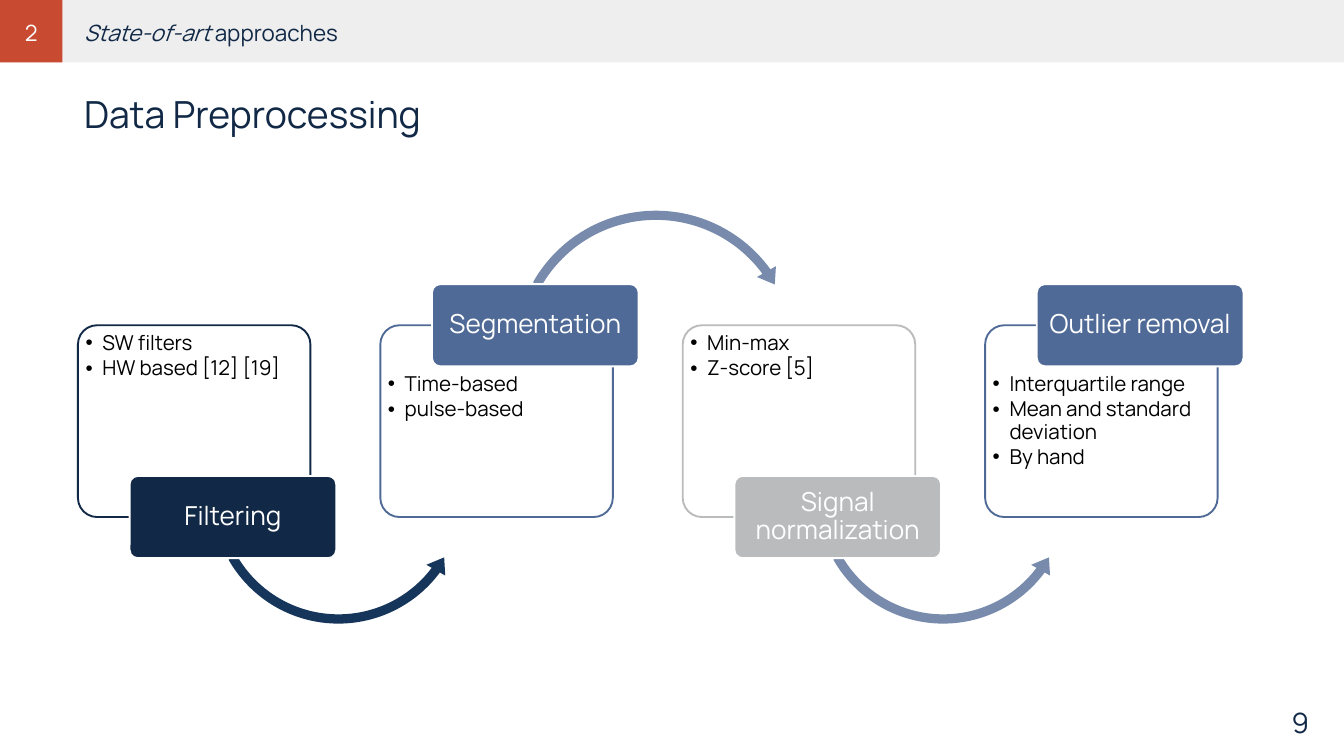
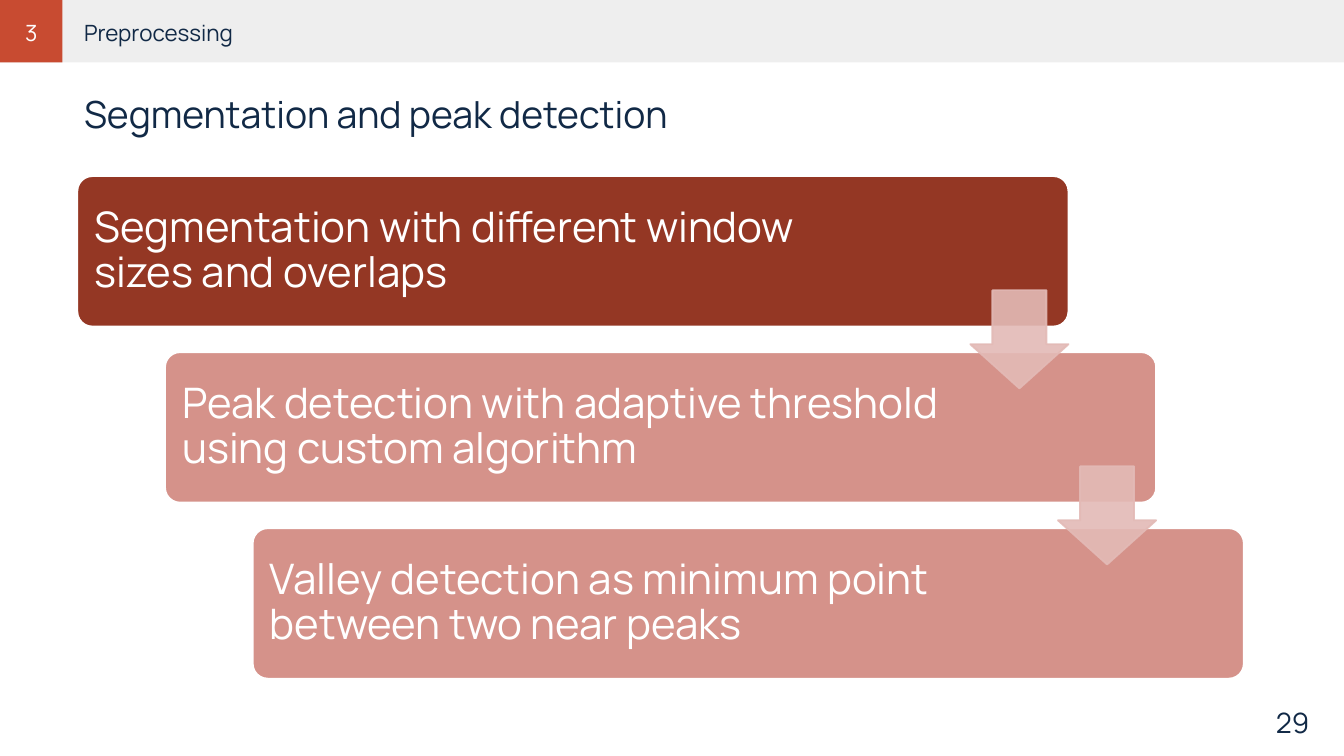
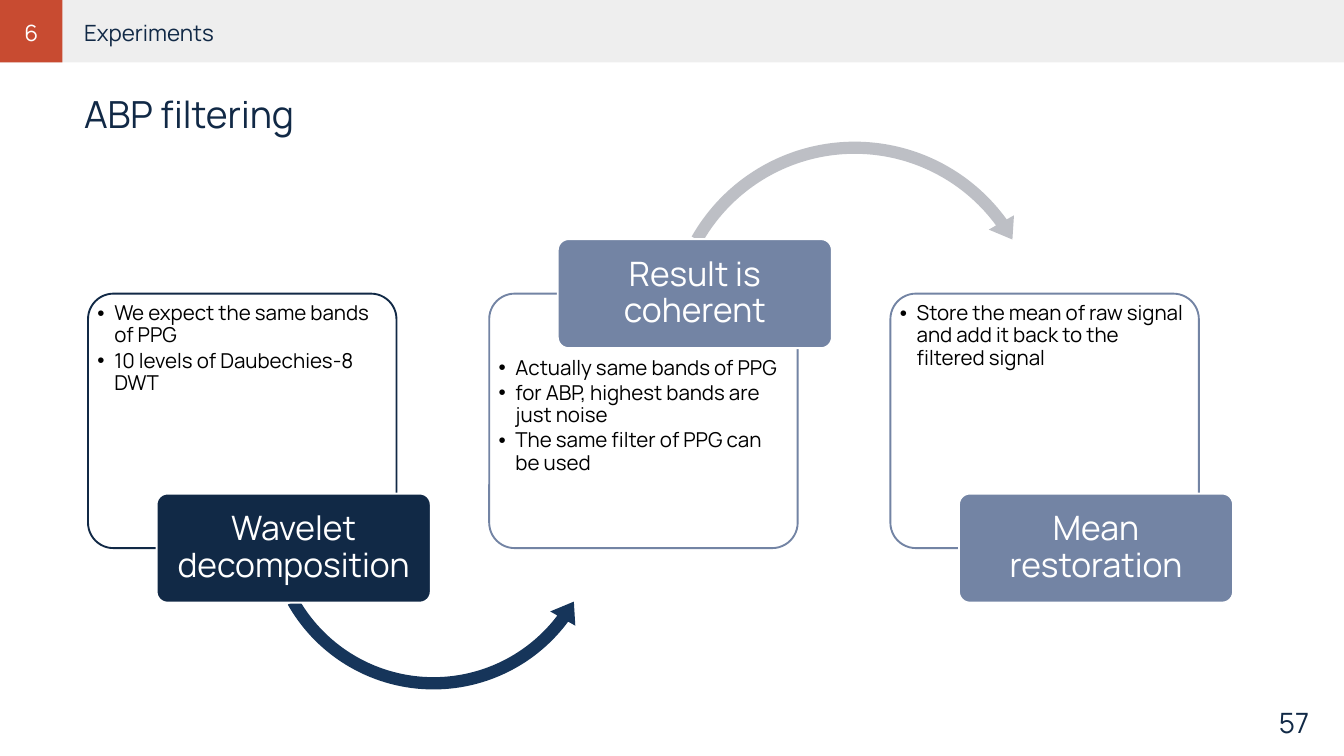
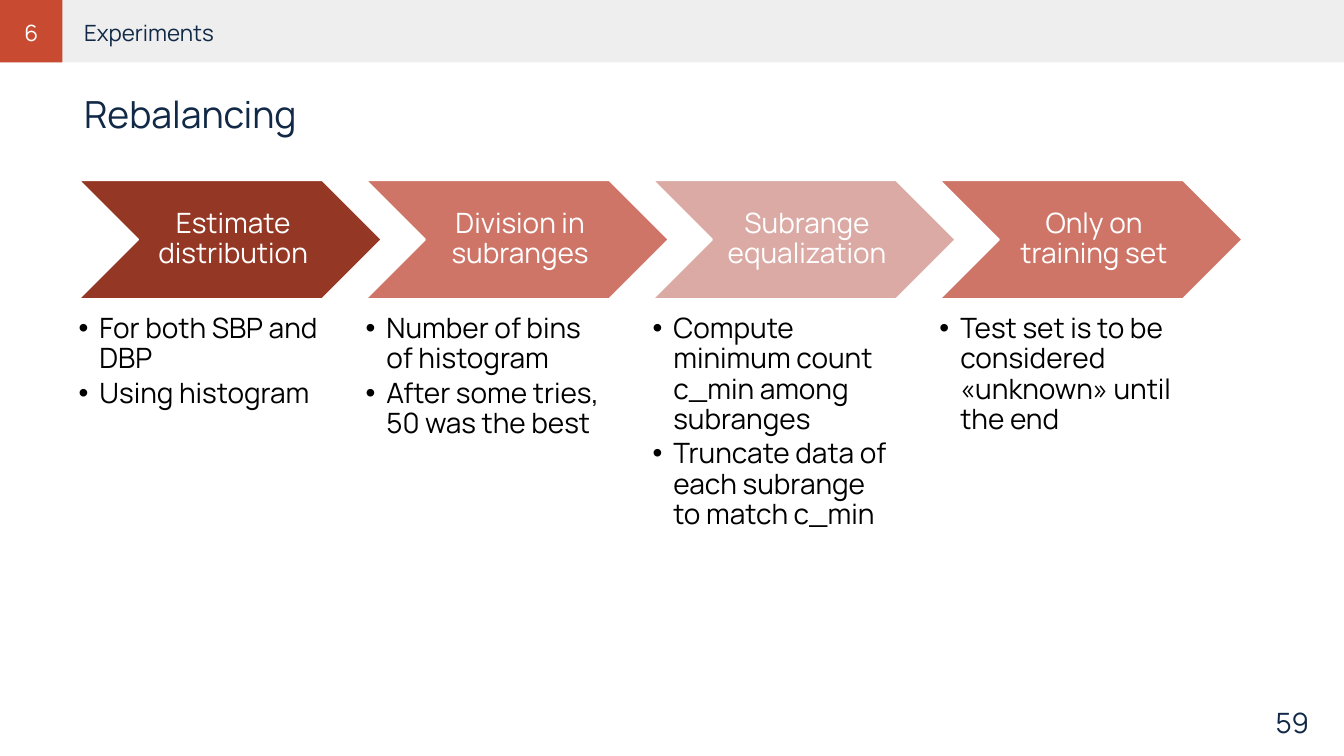
from lxml import etree
from pptx import Presentation
from pptx.dml.color import RGBColor
from pptx.enum.shapes import MSO_SHAPE
from pptx.enum.text import MSO_ANCHOR, MSO_AUTO_SIZE, PP_ALIGN
from pptx.oxml.ns import qn
from pptx.util import Inches, Pt

LEFT, CENTER, RIGHT = PP_ALIGN.LEFT, PP_ALIGN.CENTER, PP_ALIGN.RIGHT
TOP, MIDDLE = MSO_ANCHOR.TOP, MSO_ANCHOR.MIDDLE
RECT, ROUND, CHEVRON = MSO_SHAPE.RECTANGLE, MSO_SHAPE.ROUNDED_RECTANGLE, MSO_SHAPE.CHEVRON
DOWN_ARROW = MSO_SHAPE.DOWN_ARROW
ARC_BELOW, ARC_ABOVE = MSO_SHAPE.LEFT_CIRCULAR_ARROW, MSO_SHAPE.CIRCULAR_ARROW

FONT = "Manrope"
COLORS = {
    "white": "FFFFFF", "black": "000000", "band": "EEEEEE", "accent": "C84B31",
    "navy": "112946", "deep blue": "16355A", "blue": "4F6A97", "soft blue": "798BAD",
    "slate": "7384A4", "silver": "BABBBD", "pale slate": "BDBFC5",
    "brick": "943724", "coral": "CE7568", "rose": "D5928A", "blush": "DBAAA5",
    "pale rose": "E3BAB6",
}

# Header: chapter number, chapter (italics between asterisks), title, page
PREPROCESSING = ("2", "*State-of-art* approaches", "Data Preprocessing", "9")
SEGMENTATION = ("3", "Preprocessing", "Segmentation and peak detection", "29")
ABP_FILTERING = ("6", "Experiments", "ABP filtering", "57")
REBALANCING = ("6", "Experiments", "Rebalancing", "59")

# Flow stages: label, colour, colour of the arc to the next stage, details
PREPROCESSING_FLOW = [
    ("Filtering", "navy", "deep blue", ["SW filters", "HW based [12] [19]"]),
    ("Segmentation", "blue", "soft blue", ["Time-based", "pulse-based"]),
    ("Signal normalization", "silver", "soft blue", ["Min-max", "Z-score [5]"]),
    ("Outlier removal", "blue", None,
     ["Interquartile range", "Mean and standard deviation", "By hand"]),
]
ABP_FLOW = [
    ("Wavelet decomposition", "navy", "deep blue",
     ["We expect the same bands of PPG", "10 levels of Daubechies-8 DWT"]),
    ("Result is coherent", "slate", "pale slate",
     ["Actually same bands of PPG", "for ABP, highest bands are just noise",
      "The same filter of PPG can be used"]),
    ("Mean restoration", "slate", None,
     ["Store the mean of raw signal and add it back to the filtered signal"]),
]
STAIRCASE = [
    ("Segmentation with different window sizes and overlaps", "brick"),
    ("Peak detection with adaptive threshold using custom algorithm", "rose"),
    ("Valley detection as minimum point between two near peaks", "rose"),
]
CHEVRONS = [
    ("Estimate distribution", "brick", ["For both SBP and DBP", "Using histogram"]),
    ("Division in subranges", "coral",
     ["Number of bins of histogram", "After some tries, 50 was the best"]),
    ("Subrange equalization", "blush",
     ["Compute minimum count c_min among subranges",
      "Truncate data of each subrange to match c_min"]),
    ("Only on training set", "coral",
     ["Test set is to be considered «unknown» until the end"]),
]

# Arc shape, size and offset from its panel (in panel widths), adjustments
ARCS = [
    (ARC_BELOW, 1.14, 0.55, 0.17, (0.035, 4.318, 22.073, 90.245, 0.041)),
    (ARC_ABOVE, 1.27, 0.55, -0.52, (0.031, 3.851, 194.394, 125.755, 0.037)),
]


def rgb(name):
    return RGBColor.from_string(COLORS[name])


def inches(*values):
    return [Inches(v) for v in values]


def write(tf, paragraphs, size, color, align=LEFT, anchor=TOP,
          insets=(0.1, 0.05, 0.1, 0.05), spacing=None, hang=0):
    """Fill a text frame; a hanging indent makes the paragraphs bullets."""
    tf.word_wrap, tf.auto_size, tf.vertical_anchor = True, MSO_AUTO_SIZE.NONE, anchor
    tf.margin_left, tf.margin_top, tf.margin_right, tf.margin_bottom = inches(*insets)
    for i, text in enumerate(paragraphs):
        p = tf.add_paragraph() if i else tf.paragraphs[0]
        p.alignment, p.line_spacing = align, spacing
        p.space_before, p.space_after = Pt(0), Pt(0.15 * size if hang else 0)
        pPr = p._p.get_or_add_pPr()
        pPr.set("marL", str(Inches(hang)))
        pPr.set("indent", str(-Inches(hang)))
        if hang:
            etree.SubElement(pPr, qn("a:buFont")).set("typeface", "Arial")
            etree.SubElement(pPr, qn("a:buChar")).set("char", "•")
        else:
            etree.SubElement(pPr, qn("a:buNone"))
        for j, part in enumerate(text.split("*")):
            if part:
                r = p.add_run()
                r.text = part
                r.font.name, r.font.size, r.font.color.rgb = FONT, Pt(size), rgb(color)
                r.font.italic = j % 2 == 1


def add_shape(s, kind, box, fill, line=None, adjustments=(), opacity=None):
    """Opacity (percent) covers the fill, and the line if it has the same colour."""
    sp = s.shapes.add_shape(kind, *inches(*box))
    sp.shadow.inherit = False
    sp.fill.solid()
    sp.fill.fore_color.rgb = rgb(fill)
    if line:
        sp.line.color.rgb, sp.line.width = rgb(line), Pt(2)
    else:
        sp.line.fill.background()
    for i, value in enumerate(adjustments):
        sp.adjustments[i] = value
    if opacity:
        for clr in sp.element.spPr.iter(qn("a:srgbClr")):
            if clr.get("val") == COLORS[fill]:
                etree.SubElement(clr, qn("a:alpha")).set("val", str(opacity * 1000))
    return sp


def add_text(s, box, *args, **kwargs):
    write(s.shapes.add_textbox(*inches(*box)).text_frame, *args, **kwargs)


def prepare_layout(layout, s):
    """Place the layout's title and two bodies, and move the header band onto it."""
    boxes = {0: (1.15, 1.3, 17.35, 0.73), 1: (1.15, 0.23, 17.35, 0.45),
             2: (0.11, 0.23, 0.71, 0.45)}
    for ph in layout.placeholders:
        if ph.placeholder_format.idx in boxes:
            ph.left, ph.top, ph.width, ph.height = inches(
                *boxes[ph.placeholder_format.idx])
    for i, (width, color) in enumerate([(20, "band"), (0.93, "accent")]):
        band = add_shape(s, RECT, (0, 0, width, 0.93), color).element
        band.nvSpPr.cNvPr.set("id", str(100 + i))
        layout.shapes.element.insert(2 + i, band)


def add_slide(prs, header):
    layout = prs.slide_layouts.get_by_name("Two Content")
    s = prs.slides.add_slide(layout)
    if len(prs.slides) == 1:
        prepare_layout(layout, s)
    number, chapter, title, page = header
    write(s.shapes.title.text_frame, [title], 40, "navy")
    write(s.placeholders[1].text_frame, [chapter], 24, "navy")
    write(s.placeholders[2].text_frame, [number], 24, "white", CENTER)
    add_text(s, (17.25, 10.55, 2.33, 0.4), [page], 30, "navy", RIGHT, MIDDLE)
    return s


def add_flow(s, stages, left, top, pitch, width, label_size):
    """Panels with labels alternately on the lower and the upper edge."""
    height = 0.825 * width
    label_w, label_h = width * 8 / 9, height * 3 / 7
    for i, (label, color, arc_color, details) in enumerate(stages):
        x, above = left + i * pitch, i % 2
        panel = add_shape(s, ROUND, (x, top, width, height), "white", color, [0.1], 90)
        write(panel.text_frame, details, 22, "black", spacing=0.9, hang=0.25,
              insets=(0.03, 0.03 + above * label_h / 2, 0.03, 0.03))
        if arc_color:
            kind, size, dx, dy, adjustments = ARCS[above]
            add_shape(s, kind, (x + dx * width, top + dy * width, size * width,
                                size * width), arc_color, adjustments=adjustments)
        edge = top if above else top + height
        tag = add_shape(s, ROUND, (x + width * 2 / 9, edge - label_h / 2,
                                   label_w, label_h), color, "white", [0.1])
        write(tag.text_frame, [label], label_size, "white", CENTER, MIDDLE,
              (0.06, 0.04, 0.06, 0.04), 0.9)


def add_staircase(s, steps):
    left, top, width, height = 1.15, 2.62, 14.75, 2.24
    dx, dy, arrow = 1.305, 2.62, 1.46
    for i, (text, color) in enumerate(steps):
        step = add_shape(s, ROUND, (left + i * dx, top + i * dy, width, height),
                         color, "white", [0.1])
        write(step.text_frame, [text], 45, "white", anchor=MIDDLE,
              insets=(0.19, 0.19, 2.9, 0.19), spacing=0.9)
    for i in range(len(steps) - 1):
        gap_middle = top + i * dy + (height + dy) / 2
        add_shape(s, DOWN_ARROW, (left + i * dx + width - arrow,
                                  gap_middle - arrow / 2, arrow, arrow),
                  "pale rose", "pale rose", [0.55, 0.45], 90)


def add_chevrons(s, steps):
    left, top, pitch, width, height = 1.17, 2.68, 4.27, 4.51, 1.77
    for i, (label, color, details) in enumerate(steps):
        x = left + i * pitch
        chevron = add_shape(s, CHEVRON, (x, top, width, height), color, "white")
        write(chevron.text_frame, [label], 30, "white", CENTER, MIDDLE,
              (0.13, 0.04, 0.04, 0.04), 0.9)
        add_text(s, (x, 4.68, 3.61, 5.17), details, 30, "black",
                 insets=(0, 0, 0, 0), spacing=0.9, hang=0.31)


def main():
    prs = Presentation()
    prs.slide_width, prs.slide_height = inches(20, 11.25)
    add_flow(add_slide(prs, PREPROCESSING), PREPROCESSING_FLOW,
             left=1.16, top=4.84, pitch=4.5, width=3.46, label_size=28)
    add_staircase(add_slide(prs, SEGMENTATION), STAIRCASE)
    add_flow(add_slide(prs, ABP_FILTERING), ABP_FLOW,
             left=1.31, top=4.37, pitch=5.97, width=4.59, label_size=36)
    add_chevrons(add_slide(prs, REBALANCING), CHEVRONS)
    prs.save("out.pptx")


if __name__ == "__main__":
    main()
